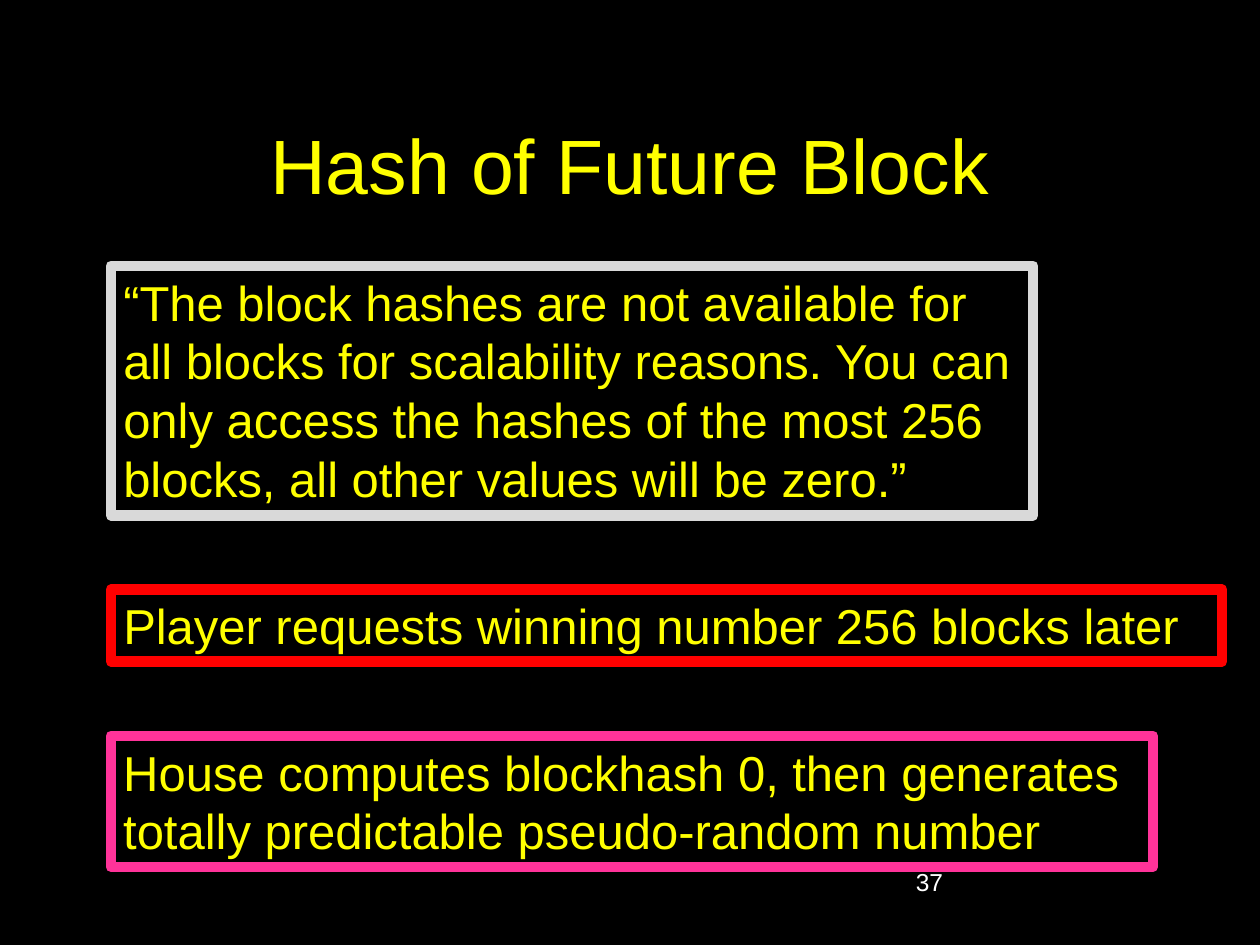
from pptx import Presentation
from pptx import util as u
from pptx.dml.color import RGBColor
from pptx.enum import shapes, text

# Content
TITLE = "Hash of Future Block"
PAGE = "37"
BOXES = [  # wording, border colour, width in inches, lines of text
    ("“The block hashes are not available for all blocks for scalability "
     "reasons. You can only access the hashes of the most 256 blocks, all "
     "other values will be zero.”", "grey", 7.32, 4),
    ("Player requests winning number 256 blocks later", "red", 8.82, 1),
    ("House computes blockhash 0, then generates totally predictable "
     "pseudo-random number", "pink", 8.27, 2),
]
COLORS = {"black": "000000", "yellow": "FFFF00", "white": "FFFFFF",
          "grey": "D9D9D9", "red": "FF0000", "pink": "FF3399"}

# Layout in inches
WIDTH, HEIGHT = 10, 7.5
LEFT, TOP, GAP = 0.88, 2.11, 0.59
LINE, PADDING = 0.47, 0.1


def color(name):
    return RGBColor.from_string(COLORS[name])


def write(s, words, size, name, align=text.PP_ALIGN.LEFT,
          anchor=text.MSO_ANCHOR.TOP):
    tf = s.text_frame
    tf.word_wrap = True
    tf.vertical_anchor = anchor
    p = tf.paragraphs[0]
    p.text = words
    p.alignment = align
    p.font.name = "Arial"
    p.font.size = u.Pt(size)
    p.font.color.rgb = color(name)


prs = Presentation()
prs.slide_width, prs.slide_height = u.Inches(WIDTH), u.Inches(HEIGHT)
sp = prs.slides.add_slide(prs.slide_layouts[6])
sp.background.fill.solid()
sp.background.fill.fore_color.rgb = color("black")

# Title and page number
s = sp.shapes.add_textbox(*map(u.Inches, (0.75, 0.67, 8.5, 1.25)))
write(s, TITLE, 44, "yellow", text.PP_ALIGN.CENTER, text.MSO_ANCHOR.MIDDLE)
s = sp.shapes.add_textbox(*map(u.Inches, (7.17, 6.83, 2.08, 0.5)))
write(s, PAGE, 14, "white")

# Framed statements, stacked with equal gaps
top = TOP
for words, border, width, lines in BOXES:
    height = PADDING + lines * LINE
    s = sp.shapes.add_shape(shapes.MSO_SHAPE.RECTANGLE,
                            *map(u.Inches, (LEFT, top, width, height)))
    s.shadow.inherit = False
    s.fill.solid()
    s.fill.fore_color.rgb = color("black")
    s.line.color.rgb = color(border)
    s.line.width = u.Pt(6)
    write(s, words, 28, "yellow")
    s.text_frame.auto_size = text.MSO_AUTO_SIZE.SHAPE_TO_FIT_TEXT
    top += height + GAP

prs.save("out.pptx")
